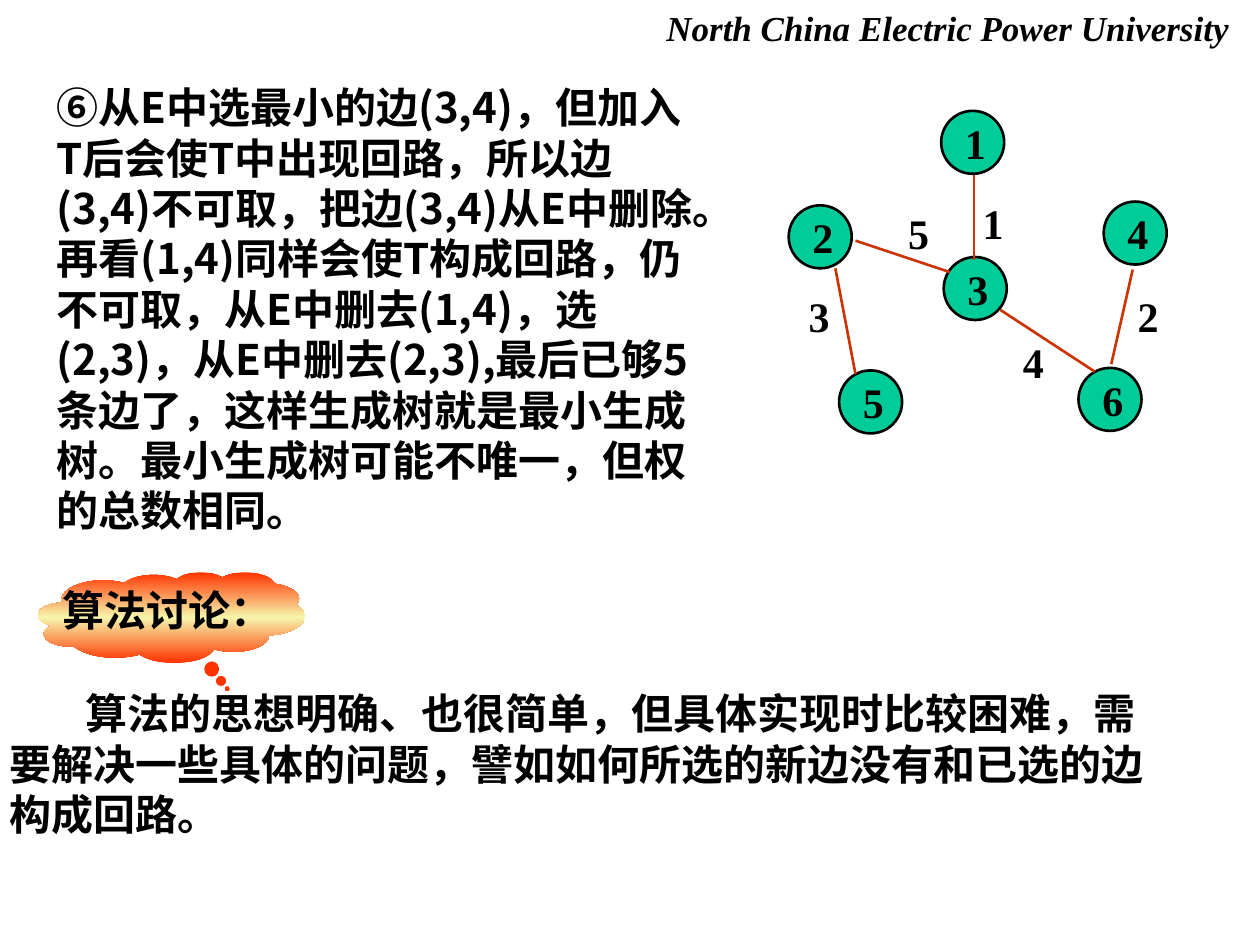
from copy import deepcopy

from pptx import Presentation
from pptx.dml.color import RGBColor
from pptx.enum.shapes import MSO_CONNECTOR as CONNECTOR, MSO_SHAPE as SHAPE
from pptx.oxml.ns import qn
from pptx.util import Inches, Pt

# Content
UNIVERSITY = "North China Electric Power University"
STEP = ("⑥从E中选最小的边(3,4)，但加入T后会使T中出现回路，所以边(3,4)不可取，"
        "把边(3,4)从E中删除。再看(1,4)同样会使T构成回路，仍不可取，从E中删去(1,4)，"
        "选(2,3)，从E中删去(2,3),最后已够5条边了，这样生成树就是最小生成树。"
        "最小生成树可能不唯一，但权的总数相同。")
DISCUSSION_TITLE = "算法讨论："
DISCUSSION = ["算法的思想明确、也很简单，但具体实现时比较困难，需",
              "要解决一些具体的问题，譬如如何所选的新边没有和已选的边",
              "构成回路。"]

# Tree: node number -> left, top of its circle
NODES = {"1": (7.47, 0.88), "2": (6.26, 1.63), "3": (7.49, 2.04),
         "4": (8.76, 1.6), "5": (6.66, 2.94), "6": (8.56, 2.92)}
# Edge weight, start, end, left and top of the weight label
EDGES = [("1", (7.73, 1.39), (7.73, 2.06), (7.7, 1.52)),
         ("2", (8.99, 2.14), (8.82, 2.89), (8.93, 2.26)),
         ("3", (6.63, 2.13), (6.79, 2.97), (6.32, 2.26)),
         ("4", (7.94, 2.46), (8.69, 2.95), (8.02, 2.62)),
         ("5", (6.79, 1.91), (7.54, 2.16), (7.11, 1.6))]

COLORS = {"text": "000000", "node": "00CC99", "edge": "CC3300",
          "cloud": "FF3300", "cloud_middle": "F7F5AB"}
SERIF, CHINESE = "Times New Roman", "Noto Sans CJK SC"
DIAMETER, DIGIT_WIDTH, DIGIT_SHIFT = 0.5, 0.36, 0.09
LINE_WIDTH = Pt(1.5)

prs = Presentation()
prs.slide_width, prs.slide_height = Inches(10), Inches(7.5)
slide = prs.slides.add_slide(prs.slide_layouts[6])


def rgb(name):
    return RGBColor.from_string(COLORS[name])


def add_text(text, left, top, width, height, size=24, font=SERIF, wrap=False, italic=False):
    box = slide.shapes.add_textbox(*map(Inches, (left, top, width, height)))
    frame = box.text_frame
    frame.word_wrap = wrap
    frame.text = text
    for paragraph in frame.paragraphs:
        for run in paragraph.runs:
            run.font.name, run.font.size = font, Pt(size)
            run.font.bold, run.font.italic = True, italic
            run.font.color.rgb = rgb("text")
            east_asian = run.font._element.makeelement(qn("a:ea"), {"typeface": CHINESE})
            run.font._element.find(qn("a:latin")).addnext(east_asian)
    return frame


def add_digit(digit, left, top):
    add_text(digit, left, top, DIGIT_WIDTH, DIAMETER)


# Header and step description
add_text(UNIVERSITY, 5.19, 0, 4.67, 0.44, size=20, italic=True)
add_text(STEP, 0.35, 0.6, 5.33, 3.7, font=CHINESE, wrap=True)

# Tree nodes
for number, (left, top) in NODES.items():
    circle = slide.shapes.add_shape(
        SHAPE.OVAL, *map(Inches, (left, top, DIAMETER, DIAMETER)))
    circle.shadow.inherit = False
    circle.fill.solid()
    circle.fill.fore_color.rgb = rgb("node")
    circle.line.color.rgb = rgb("text")
    circle.line.width = LINE_WIDTH
    add_digit(number, left + DIGIT_SHIFT, top)

# Tree edges with their weights
for weight, start, end, label in EDGES:
    edge = slide.shapes.add_connector(CONNECTOR.STRAIGHT, *map(Inches, start + end))
    edge.line.color.rgb = rgb("edge")
    edge.line.width = LINE_WIDTH
    properties = edge._element.spPr
    properties.append(properties.makeelement(qn("a:effectLst"), {}))
    add_digit(weight, *label)

# Discussion text, first line indented
discussion = add_text("\n".join(DISCUSSION), -0.02, 5.41, 10, 1.3, wrap=True)
discussion.paragraphs[0]._p.get_or_add_pPr().set("indent", str(Inches(0.6)))

# Cloud heading with a three-stop gradient
cloud = slide.shapes.add_shape(
    SHAPE.CLOUD_CALLOUT, *map(Inches, (0.3, 4.54, 2.12, 0.72)))
cloud.shadow.inherit = False
cloud.adjustments[0], cloud.adjustments[1] = 0.209, 0.786
cloud.line.fill.background()
cloud.fill.gradient()
cloud.fill.gradient_angle = 90
stop_list = cloud._element.spPr.find(qn("a:gradFill")).find(qn("a:gsLst"))
stop_list.insert(1, deepcopy(stop_list[0]))
for stop, position, name in zip(cloud.fill.gradient_stops, (0, 0.5, 1),
                                ("cloud", "cloud_middle", "cloud")):
    stop.position = position
    stop.color.rgb = rgb(name)
add_text(DISCUSSION_TITLE, 0.4, 4.59, 1.86, 0.5)

prs.save("out.pptx")
